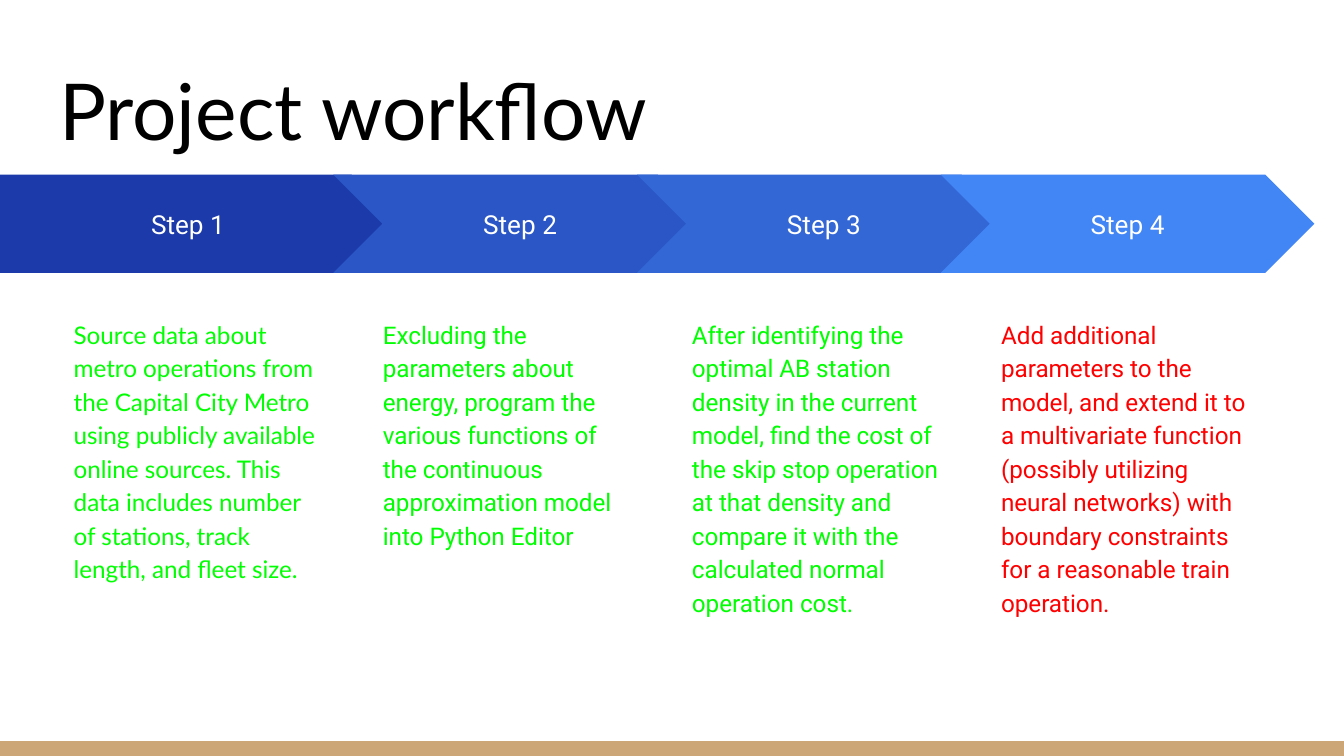
import dataclasses

import pptx
import pptx.dml.color
import pptx.enum.shapes
import pptx.enum.text
import pptx.util

Inches = pptx.util.Inches
SHAPES = pptx.enum.shapes.MSO_SHAPE
ANCHOR = pptx.enum.text.MSO_ANCHOR
ALIGN = pptx.enum.text.PP_ALIGN


@dataclasses.dataclass(frozen=True)
class Theme:
    heading_font: str = "Lato"
    body_font: str = "Roboto"
    title_size: int = 42
    step_size: int = 14
    body_size: int = 13
    black: str = "000000"
    white: str = "FFFFFF"
    done: str = "00FF00"
    pending: str = "FF0000"
    footer: str = "CCA677"


@dataclasses.dataclass(frozen=True)
class Step:
    band_color: str
    text_color: str
    font: str
    description: str


THEME = Theme()
WIDTH = 10
HEIGHT = WIDTH * 9 / 16
FOOTER_HEIGHT = 0.11

# Column grid: arrows and descriptions each advance by an equal pitch
ARROW_LEFT, ARROW_PITCH, ARROW_WIDTH = 0.22, 2.26, 2.78
FIRST_ARROW_WIDTH = 2.98
ARROW_TOP, ARROW_HEIGHT = 1.3, 0.73
TEXT_LEFT, TEXT_PITCH, TEXT_WIDTH = 0.45, 2.3, 2.08
TEXT_TOP, TEXT_HEIGHT = 2.25, 2.86

STEPS = [
    Step("1C3AA9", THEME.done, THEME.heading_font,
         "Source data about metro operations from the Capital City Metro using "
         "publicly available online sources. This data includes number of "
         "stations, track length, and fleet size."),
    Step("2A56C6", THEME.done, THEME.body_font,
         "Excluding the parameters about energy, program the various functions "
         "of the continuous approximation model into Python Editor"),
    Step("3367D6", THEME.done, THEME.body_font,
         "After identifying the optimal AB station density in the current model, "
         "find the cost of the skip stop operation at that density and compare "
         "it with the calculated normal operation cost."),
    Step("4285F4", THEME.pending, THEME.body_font,
         "Add additional parameters to the model, and extend it to a "
         "multivariate function (possibly utilizing neural networks) with "
         "boundary constraints for a reasonable train operation."),
]


def rgb(value: str) -> pptx.dml.color.RGBColor:
    return pptx.dml.color.RGBColor.from_string(value)


def write(shape, text: str, font: str, size: int, color: str,
          anchor=ANCHOR.TOP, align=ALIGN.LEFT, spacing: float = 1.0) -> None:
    """Set one paragraph of text with even insets."""
    frame = shape.text_frame
    frame.text = text
    frame.word_wrap = True
    frame.auto_size = pptx.enum.text.MSO_AUTO_SIZE.NONE
    frame.vertical_anchor = anchor
    frame.margin_left = frame.margin_right = Inches(0.1)
    frame.margin_top = frame.margin_bottom = Inches(0.1)
    paragraph = frame.paragraphs[0]
    paragraph.alignment = align
    paragraph.line_spacing = spacing
    run_font = paragraph.runs[0].font
    run_font.name = font
    run_font.size = pptx.util.Pt(size)
    run_font.color.rgb = rgb(color)


def add_filled(shapes, preset, left: float, top: float, width: float,
               height: float, color: str):
    """Add a preset shape with a flat fill and no outline."""
    shape = shapes.add_shape(preset, Inches(left), Inches(top),
                             Inches(width), Inches(height))
    shape.shadow.inherit = False
    shape.fill.solid()
    shape.fill.fore_color.rgb = rgb(color)
    shape.line.fill.background()
    return shape


def add_step(slide, column: int, step: Step) -> None:
    """Group a step's arrow with the description below it."""
    shapes = slide.shapes.add_group_shape().shapes
    if column == 0:
        preset, left, width = SHAPES.PENTAGON, 0, FIRST_ARROW_WIDTH
    else:
        preset, width = SHAPES.CHEVRON, ARROW_WIDTH
        left = ARROW_LEFT + column * ARROW_PITCH
    arrow = add_filled(shapes, preset, left, ARROW_TOP, width, ARROW_HEIGHT,
                       step.band_color)
    arrow.adjustments[0] = 0.5
    write(arrow, f"Step {column + 1}", THEME.body_font, THEME.step_size,
          THEME.white, ANCHOR.MIDDLE, ALIGN.CENTER)

    description = shapes.add_textbox(
        Inches(TEXT_LEFT + column * TEXT_PITCH), Inches(TEXT_TOP),
        Inches(TEXT_WIDTH), Inches(TEXT_HEIGHT))
    write(description, step.description, step.font, THEME.body_size,
          step.text_color, spacing=1.15)


def main() -> None:
    presentation = pptx.Presentation()
    presentation.slide_width = Inches(WIDTH)
    presentation.slide_height = Inches(HEIGHT)
    slide = presentation.slides.add_slide(presentation.slide_layouts[5])

    # Footer band
    add_filled(slide.shapes, SHAPES.RECTANGLE, 0, HEIGHT - FOOTER_HEIGHT,
               WIDTH, FOOTER_HEIGHT, THEME.footer)

    # Title
    title = slide.shapes.title
    title.left, title.top = Inches(0.34), Inches(0.35)
    title.width, title.height = Inches(9.32), Inches(0.91)
    write(title, "Project workflow", THEME.heading_font, THEME.title_size,
          THEME.black, ANCHOR.BOTTOM)

    # Workflow steps
    for column, step in enumerate(STEPS):
        add_step(slide, column, step)

    presentation.save("out.pptx")


if __name__ == "__main__":
    main()
